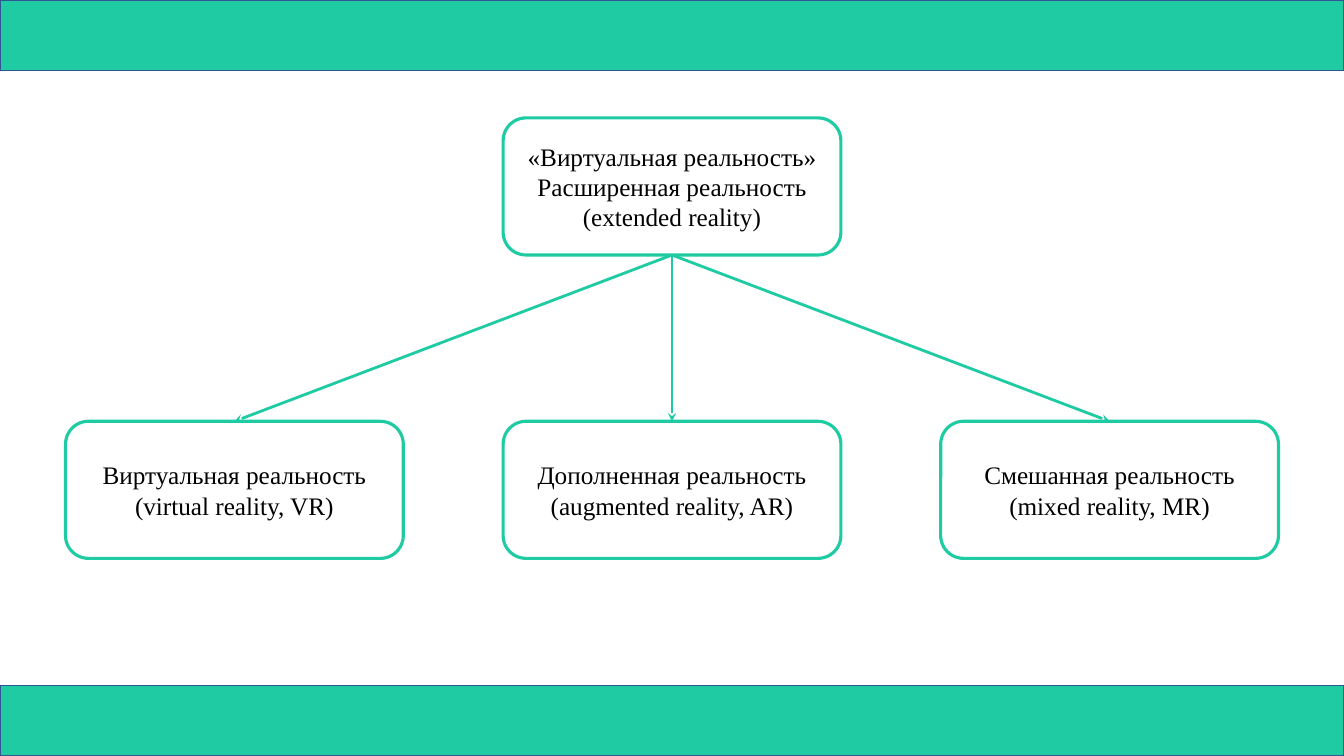
from pptx import Presentation
from pptx.dml.color import RGBColor
from pptx.enum.shapes import MSO_CONNECTOR, MSO_SHAPE
from pptx.enum.text import MSO_ANCHOR, PP_ALIGN
from pptx.oxml.ns import qn
from pptx.util import Inches, Pt
from lxml.etree import SubElement

ROOT = ["«Виртуальная реальность»", "Расширенная реальность", "(extended reality)"]
BRANCHES = [
    ["Виртуальная реальность", "(virtual reality, VR)"],
    ["Дополненная реальность", "(augmented reality, AR)"],
    ["Смешанная реальность", "(mixed reality, MR)"],
]
COLORS = {"green": "1FCBA2", "navy": "325491", "white": "FFFFFF", "black": "000000"}
FONT = "Times New Roman"

SLIDE_W, SLIDE_H = 13.33, 7.5
BAND_H = 0.7
BOX_W, BOX_H = 3.35, 1.36
ROOT_TOP, BRANCH_TOP = 1.17, 4.18
BRANCH_STEP = 4.34


def color(name):
    return RGBColor.from_string(COLORS[name])


def add_panel(slide, kind, left, top, width, height, fill, line, weight):
    panel = slide.shapes.add_shape(
        kind, Inches(left), Inches(top), Inches(width), Inches(height))
    panel.shadow.inherit = False
    panel.fill.solid()
    panel.fill.fore_color.rgb = color(fill)
    panel.line.color.rgb = color(line)
    panel.line.width = Pt(weight)
    return panel


def write_text(shape, lines, size=18, ink="black", align=PP_ALIGN.CENTER):
    frame = shape.text_frame
    frame.word_wrap = True
    frame.vertical_anchor = MSO_ANCHOR.MIDDLE
    for index, line in enumerate(lines):
        para = frame.add_paragraph() if index else frame.paragraphs[0]
        para.alignment = align
        span = para.add_run()
        span.text = line
        span.font.name = FONT
        span.font.size = Pt(size)
        span.font.color.rgb = color(ink)


def add_box(slide, center, top, lines):
    box = add_panel(slide, MSO_SHAPE.ROUNDED_RECTANGLE, center - BOX_W / 2, top,
                    BOX_W, BOX_H, "white", "green", 2.25)
    write_text(box, lines)


def add_arrow(slide, start, end):
    arrow = slide.shapes.add_connector(
        MSO_CONNECTOR.STRAIGHT, *(Inches(value) for value in (*start, *end)))
    arrow.line.color.rgb = color("green")
    arrow.line.width = Pt(2)
    SubElement(arrow.line._get_or_add_ln(), qn("a:tailEnd"), type="stealth")
    SubElement(arrow._element.spPr, qn("a:effectLst"))


def main():
    deck = Presentation()
    deck.slide_width, deck.slide_height = Inches(SLIDE_W), Inches(SLIDE_H)
    slide = deck.slides.add_slide(deck.slide_layouts[6])

    middle = SLIDE_W / 2
    centers = [middle + (index - 1) * BRANCH_STEP for index in range(len(BRANCHES))]
    add_box(slide, middle, ROOT_TOP, ROOT)
    for center, lines in zip(centers, BRANCHES):
        add_box(slide, center, BRANCH_TOP, lines)
    for center in centers:
        add_arrow(slide, (middle, ROOT_TOP + BOX_H), (center, BRANCH_TOP))
    for top in (0, SLIDE_H - BAND_H):
        add_panel(slide, MSO_SHAPE.RECTANGLE, 0, top, SLIDE_W, BAND_H,
                  "green", "navy", 1)

    deck.save("out.pptx")


if __name__ == "__main__":
    main()
